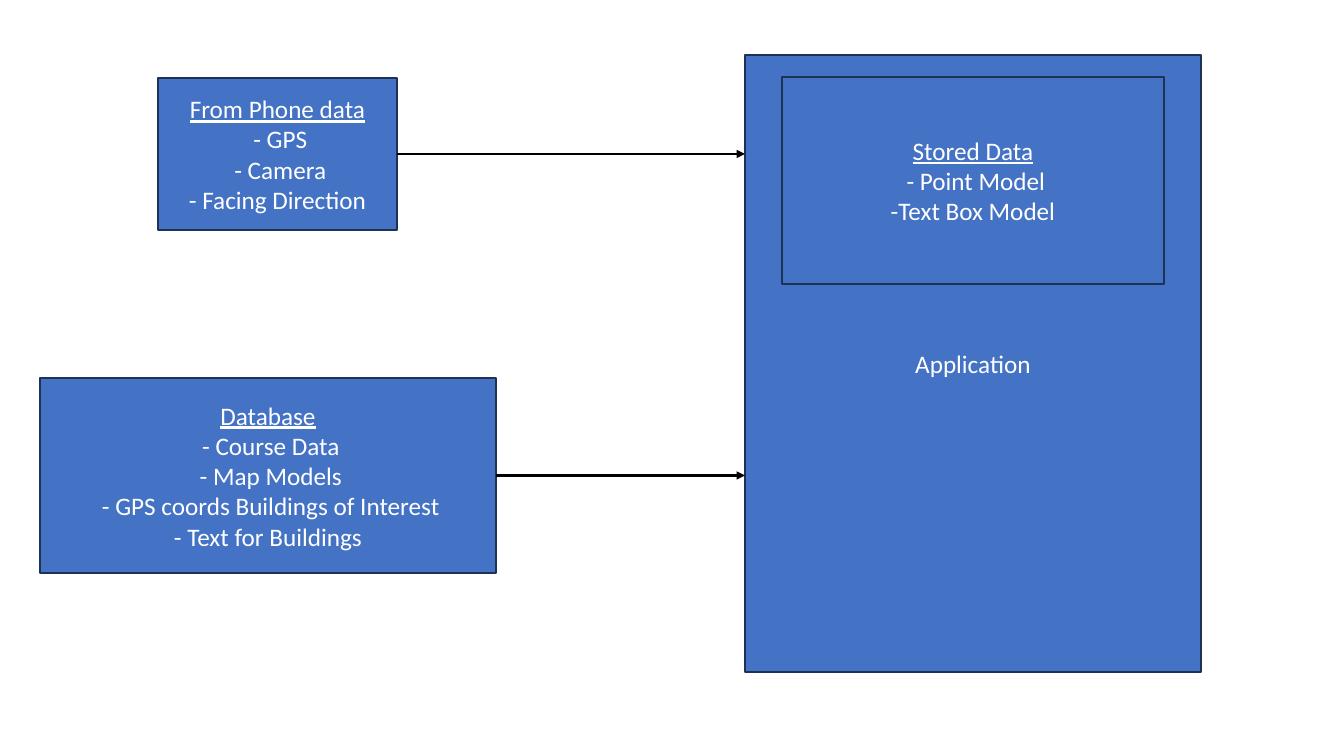
import pptx
import pptx.util
import pptx.dml.color
import pptx.enum.shapes
import pptx.enum.text
import pptx.oxml.ns
from dataclasses import dataclass
from lxml import etree

# name: (left, top, width, height) in px, heading or None, lines
BOXES = {
    "app": ((745, 55, 456, 617), None, ["Application"]),
    "phone": ((158, 78, 239, 152), "From Phone data",
              [" - GPS", " - Camera", "- Facing Direction"]),
    "database": ((40, 378, 456, 195), "Database",
                 [" - Course Data", " - Map Models",
                  " - GPS coords Buildings of Interest",
                  "- Text for Buildings"]),
    "stored": ((782, 77, 382, 207), "Stored Data",
               [" - Point Model", "-Text Box Model"]),
}
FLOWS = [("phone", "app"), ("database", "app")]
SIZE = (1344, 756)


@dataclass(frozen=True)
class Theme:
    fill: str = "4472C4"
    edge: str = "1E3256"
    text: str = "FFFFFF"
    arrow: str = "000000"
    font: str = "Calibri"
    body: int = 18
    thin: float = 1
    thick: float = 1.5


THEME = Theme()


def px(count):
    return pptx.util.Emu(round(count * 914400 / 100.8))


def color(code):
    return pptx.dml.color.RGBColor.from_string(code)


def add_box(slide, place, head, lines):
    kind = pptx.enum.shapes.MSO_SHAPE.RECTANGLE
    box = slide.shapes.add_shape(kind, *map(px, place))
    box.shadow.inherit = False
    box.fill.solid()
    box.fill.fore_color.rgb = color(THEME.fill)
    box.line.color.rgb = color(THEME.edge)
    box.line.width = pptx.util.Pt(THEME.thin)
    frame = box.text_frame
    frame.word_wrap = True
    frame.vertical_anchor = pptx.enum.text.MSO_ANCHOR.MIDDLE
    texts = [head, *lines] if head else lines
    frame.text = "\n".join(texts)
    for para in frame.paragraphs:
        para.alignment = pptx.enum.text.PP_ALIGN.CENTER
        para.font.name = THEME.font
        para.font.size = pptx.util.Pt(THEME.body)
        para.font.color.rgb = color(THEME.text)
    if head:
        # Underline is only drawn reliably when set on the run.
        frame.paragraphs[0].runs[0].font.underline = True
    return box


def add_flow(slide, start, end):
    """Draw a level arrow from the right side of start to the left of end."""
    mid = start.top + start.height // 2
    kind = pptx.enum.shapes.MSO_CONNECTOR.STRAIGHT
    flow = slide.shapes.add_connector(
        kind, start.left + start.width, mid, end.left, mid)
    flow.begin_connect(start, 3)
    flow.line.color.rgb = color(THEME.arrow)
    flow.line.width = pptx.util.Pt(THEME.thick)
    qn = pptx.oxml.ns.qn
    props = flow.element.spPr
    etree.SubElement(props.find(qn("a:ln")), qn("a:tailEnd"), type="triangle")
    etree.SubElement(props, qn("a:effectLst"))


def main():
    deck = pptx.Presentation()
    deck.slide_width, deck.slide_height = map(px, SIZE)
    slide = deck.slides.add_slide(deck.slide_layouts[6])
    boxes = {name: add_box(slide, *data) for name, data in BOXES.items()}
    for start, end in FLOWS:
        add_flow(slide, boxes[start], boxes[end])
    deck.save("out.pptx")


if __name__ == "__main__":
    main()
